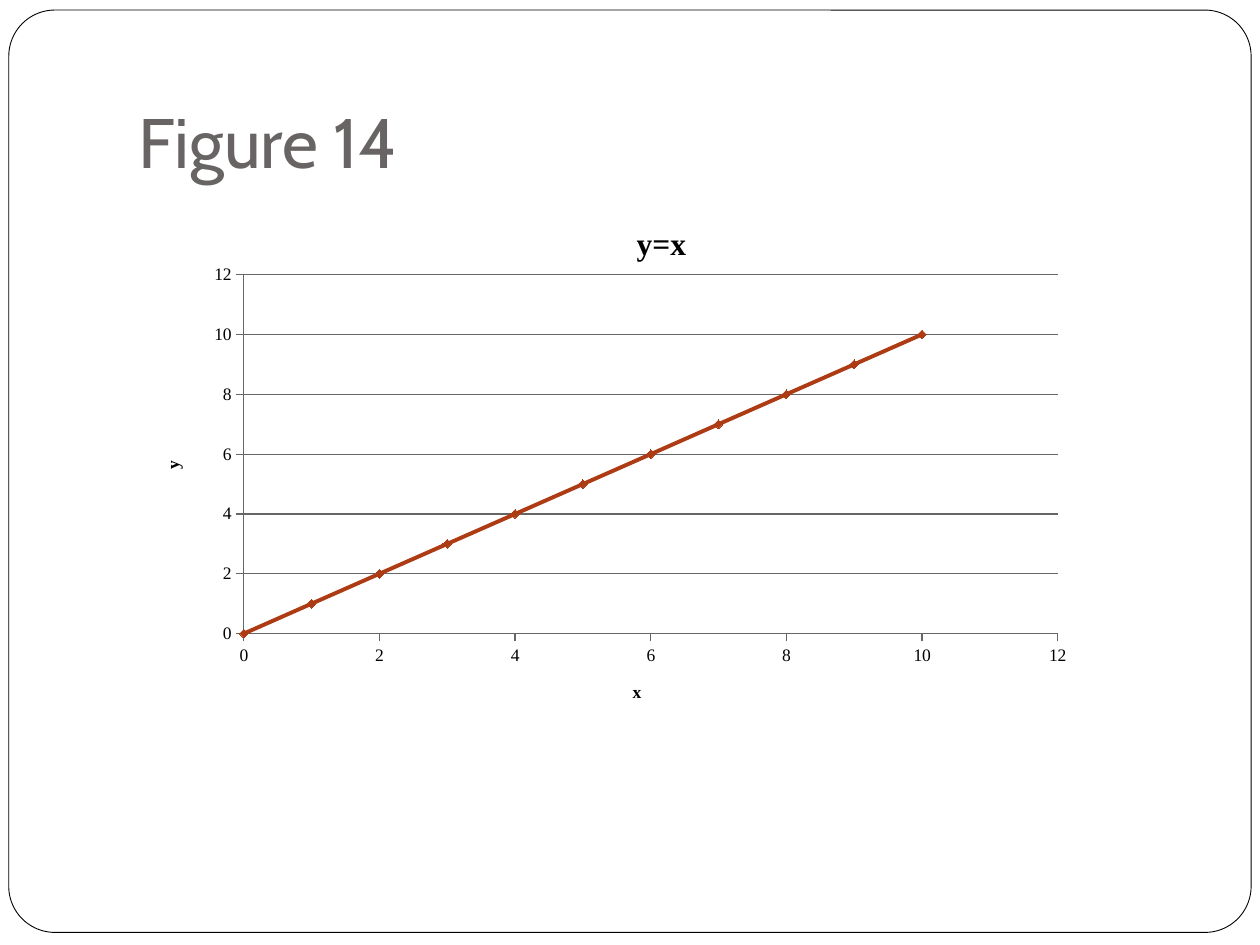
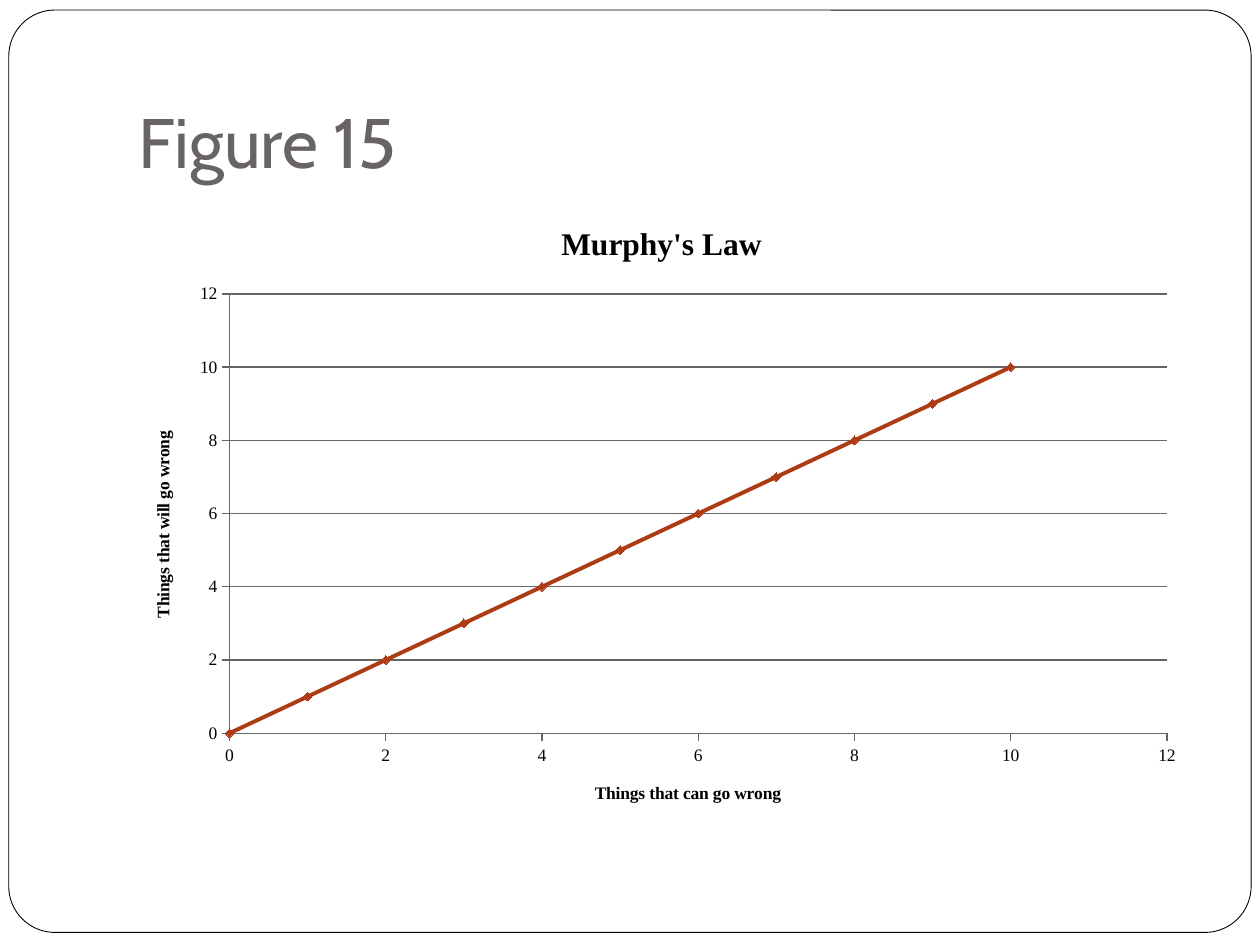
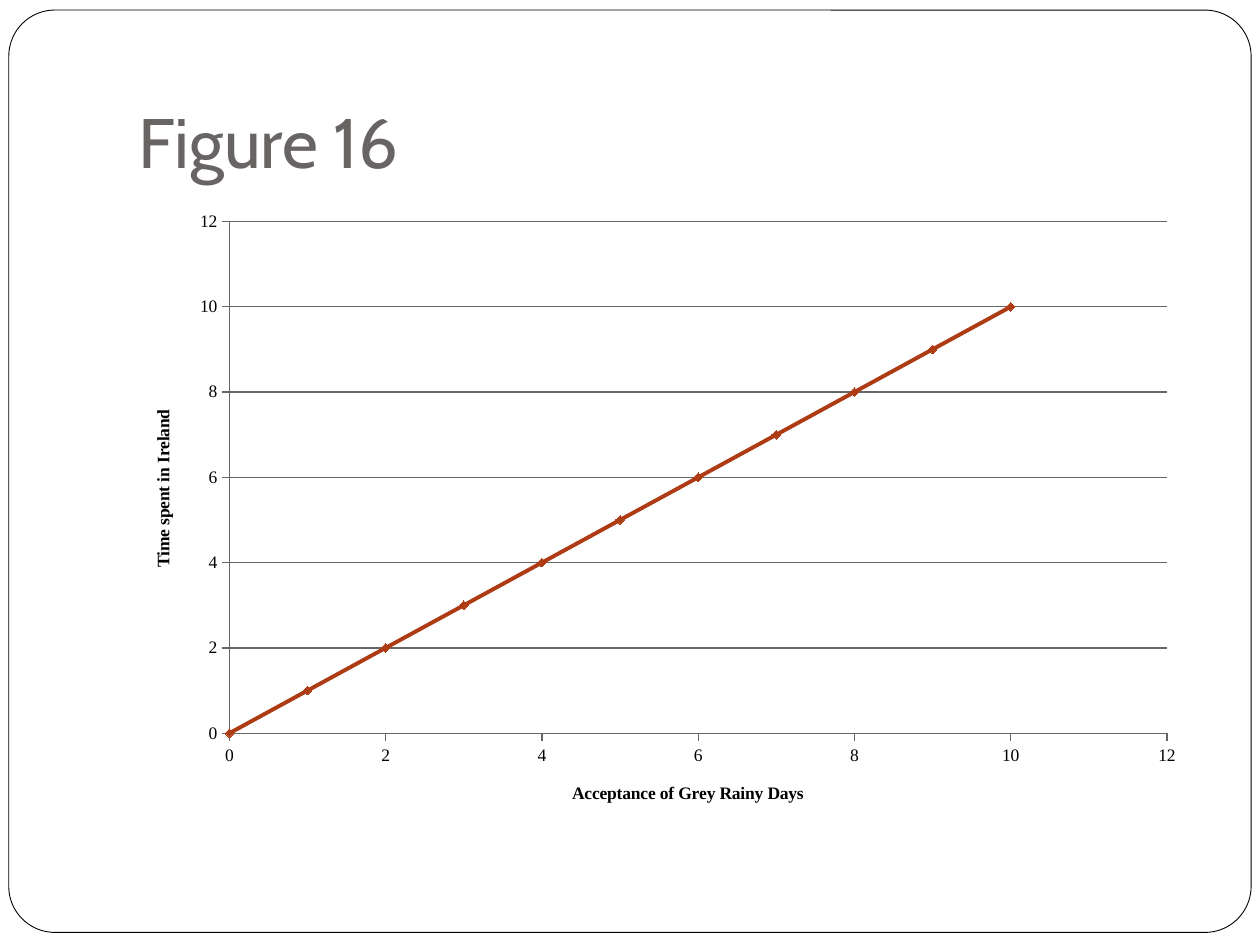
from dataclasses import dataclass
from typing import Optional

from lxml.etree import SubElement
from pptx import Presentation
from pptx.chart.axis import ValueAxis
from pptx.chart.chart import Chart
from pptx.chart.data import XyChartData
from pptx.dml.color import RGBColor
from pptx.dml.line import LineFormat
from pptx.enum.chart import XL_CHART_TYPE, XL_MARKER_STYLE, XL_TICK_MARK
from pptx.enum.shapes import MSO_SHAPE
from pptx.enum.text import MSO_ANCHOR, MSO_AUTO_SIZE, PP_ALIGN
from pptx.oxml.ns import qn
from pptx.slide import Slide
from pptx.text.text import Font, TextFrame
from pptx.util import Emu, Pt

# Shared look: 100 px to the inch
SCALE = 9144
COLORS = {
    "paper": "FFFFFF",
    "ink": "000000",
    "title": "696464",
    "grid": "666666",
    "series": "D34817",
}
TITLE_FONT = "Cabin"
CHART_FONT = "Times New Roman"
TITLE_ONLY_LAYOUT = 5

# Ten empty rows come before the values 0 to 10
VALUES = [None] * 10 + list(range(11))


@dataclass(frozen=True)
class Box:
    left: int
    top: int
    width: int
    height: int

    def emu(self) -> tuple[Emu, ...]:
        return tuple(px(n) for n in (self.left, self.top, self.width, self.height))


@dataclass(frozen=True)
class Placement:
    """Chart parts as fractions of the chart's size."""
    plot: dict[str, float]
    x_title: dict[str, float]
    y_title: dict[str, float]


@dataclass(frozen=True)
class Figure:
    heading: str
    x_label: str
    y_label: str
    series_name: str = "Series 1"
    chart_title: Optional[str] = None
    placement: Optional[Placement] = None


FRAME_BOX = Box(7, 8, 986, 732)
TITLE_BOX = Box(100, 30, 850, 125)
CHART_BOX = Box(100, 158, 850, 500)

FIGURES = [
    Figure("Figure 14", "x", "y", "y=x", "y=x", Placement(
        plot={"x": 0.11, "y": 0.12, "w": 0.76, "h": 0.57},
        x_title={"x": 0.47, "y": 0.76},
        y_title={"x": 0.03, "y": 0.41},
    )),
    Figure("Figure 15", "Things that can go wrong", "Things that will go wrong",
           chart_title="Murphy's Law"),
    Figure("Figure 16", "Acceptance of Grey Rainy Days", "Time spent in Ireland"),
]


def px(length: int) -> Emu:
    return Emu(length * SCALE)


def color(name: str) -> RGBColor:
    return RGBColor.from_string(COLORS[name])


def style_font(font: Font, name: str, size: int, color_name: str, bold: bool = False) -> None:
    font.name = name
    font.size = Pt(size)
    font.bold = bold
    font.color.rgb = color(color_name)


def style_line(line: LineFormat, color_name: str, width: float) -> None:
    line.color.rgb = color(color_name)
    line.width = Pt(width)


def add_frame_to_master(slide: Slide) -> None:
    """Draw the rounded frame and move it behind everything on the master."""
    frame = slide.shapes.add_shape(MSO_SHAPE.ROUNDED_RECTANGLE, *FRAME_BOX.emu())
    frame.adjustments[0] = 0.05
    frame.shadow.inherit = False
    frame.fill.solid()
    frame.fill.fore_color.rgb = color("paper")
    style_line(frame.line, "ink", 0.5)
    element = frame._element
    element.nvSpPr.cNvPr.id = 100
    slide.slide_layout.slide_master.shapes._spTree.insert(2, element)


def set_title(slide: Slide, text: str) -> None:
    title = slide.shapes.title
    title.left, title.top, title.width, title.height = TITLE_BOX.emu()
    frame = title.text_frame
    frame.text = text
    frame.word_wrap = True
    frame.auto_size = MSO_AUTO_SIZE.NONE
    frame.vertical_anchor = MSO_ANCHOR.BOTTOM
    frame.margin_left = frame.margin_right = frame.margin_bottom = px(10)
    frame.margin_top = px(5)
    paragraph = frame.paragraphs[0]
    paragraph.alignment = PP_ALIGN.LEFT
    style_font(paragraph.runs[0].font, TITLE_FONT, 40, "title")


def set_chart_text(frame: TextFrame, text: str, size: int) -> None:
    frame.text = text
    style_font(frame.paragraphs[0].runs[0].font, CHART_FONT, size, "ink", bold=True)


def place(element, position: int, fractions: dict[str, float], inner: bool = False) -> None:
    """Give a chart part a manual layout."""
    layout = element.find(qn("c:layout"))
    if layout is not None:
        element.remove(layout)
    layout = element.makeelement(qn("c:layout"), {})
    element.insert(position, layout)
    manual = SubElement(layout, qn("c:manualLayout"))
    settings = {"layoutTarget": "inner"} if inner else {}
    settings |= {"xMode": "edge", "yMode": "edge"}
    for tag, value in (settings | fractions).items():
        SubElement(manual, qn(f"c:{tag}")).set("val", str(value))


def style_axis(axis: ValueAxis, label: str, gridlines: bool) -> None:
    axis.minimum_scale, axis.maximum_scale, axis.major_unit = 0, 12, 2
    axis.major_tick_mark = XL_TICK_MARK.OUTSIDE
    axis.minor_tick_mark = XL_TICK_MARK.NONE
    style_line(axis.format.line, "grid", 0.75)
    style_font(axis.tick_labels.font, CHART_FONT, 10, "ink")
    axis.has_major_gridlines = gridlines
    if gridlines:
        style_line(axis.major_gridlines.format.line, "grid", 0.75)
    set_chart_text(axis.axis_title.text_frame, label, 10)


def drop_empty_points(chart: Chart) -> None:
    """Leave the empty rows out of the cached values, keeping their indexes."""
    for point in list(chart._chartSpace.iter(qn("c:pt"))):
        if point.findtext(qn("c:v")) in ("None", "", None):
            point.getparent().remove(point)


def style_series(chart: Chart) -> None:
    plot = chart.plots[0]
    plot.vary_by_categories = False
    series = plot.series[0]
    series.smooth = True
    marker = series.marker
    marker.style = XL_MARKER_STYLE.DIAMOND
    marker.size = 5
    marker.format.fill.solid()
    marker.format.fill.fore_color.rgb = color("series")
    style_line(series.format.line, "series", 2.25)
    style_line(marker.format.line, "series", 0.75)
    for shade in (marker.format.fill.fore_color, series.format.line.color,
                  marker.format.line.color):
        shade.brightness = -0.18


def add_chart(slide: Slide, figure: Figure) -> None:
    data = XyChartData()
    series = data.add_series(figure.series_name)
    for value in VALUES:
        series.add_data_point(value, value)
    chart = slide.shapes.add_chart(
        XL_CHART_TYPE.XY_SCATTER_SMOOTH, *CHART_BOX.emu(), data).chart
    drop_empty_points(chart)
    style_font(chart.font, CHART_FONT, 10, "ink")
    chart.has_legend = False
    chart.has_title = figure.chart_title is not None
    if figure.chart_title:
        set_chart_text(chart.chart_title.text_frame, figure.chart_title, 18)
    style_axis(chart.category_axis, figure.x_label, gridlines=False)
    style_axis(chart.value_axis, figure.y_label, gridlines=True)
    style_series(chart)
    placement = figure.placement
    if placement:
        place(chart._chartSpace.chart.plotArea, 0, placement.plot, inner=True)
        place(chart.category_axis.axis_title._element, 1, placement.x_title)
        place(chart.value_axis.axis_title._element, 1, placement.y_title)


def main() -> None:
    presentation = Presentation()
    presentation.slide_width, presentation.slide_height = px(1000), px(750)
    layout = presentation.slide_layouts[TITLE_ONLY_LAYOUT]
    for number, figure in enumerate(FIGURES):
        slide = presentation.slides.add_slide(layout)
        if number == 0:
            add_frame_to_master(slide)
        set_title(slide, figure.heading)
        add_chart(slide, figure)
    presentation.save("out.pptx")


if __name__ == "__main__":
    main()
